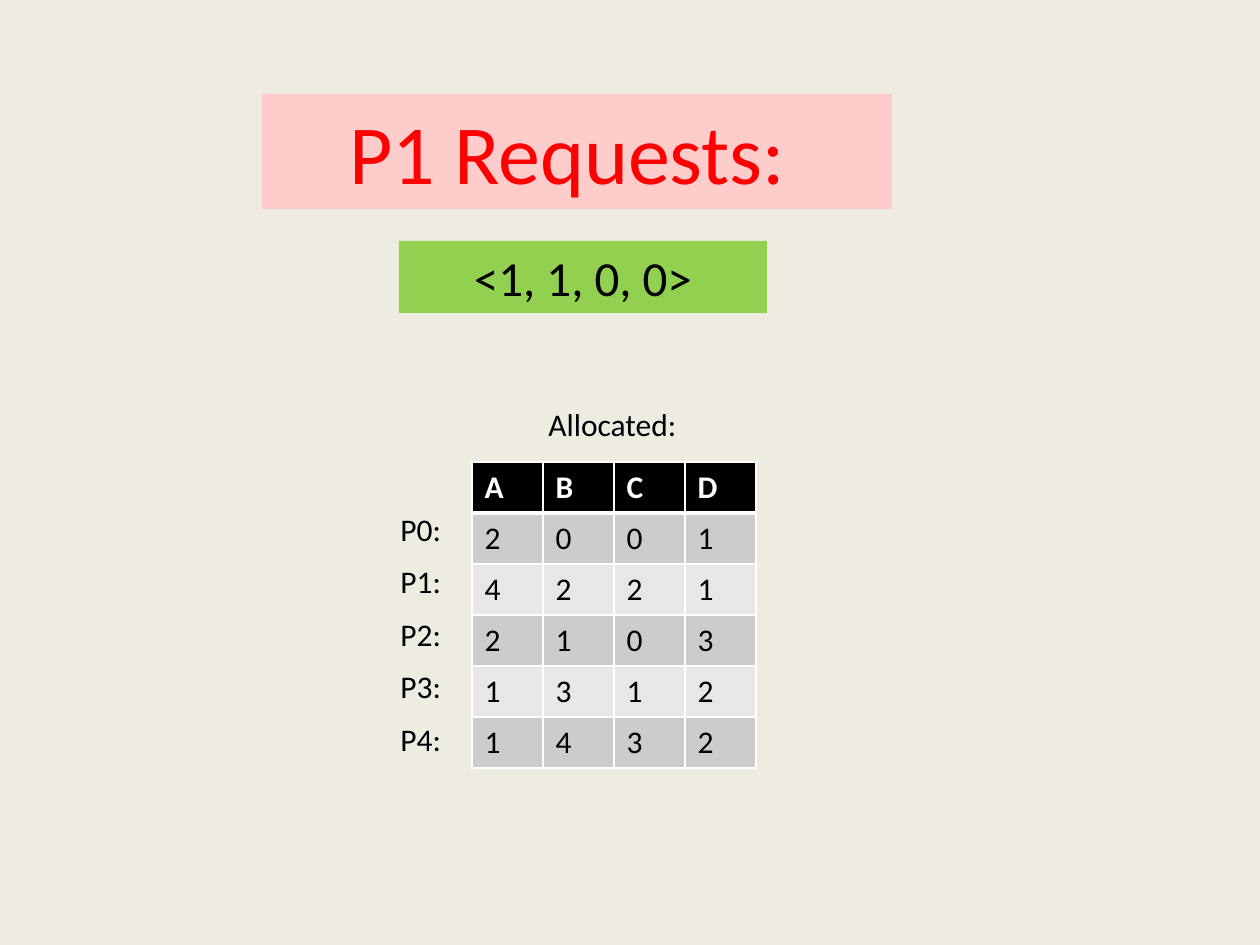
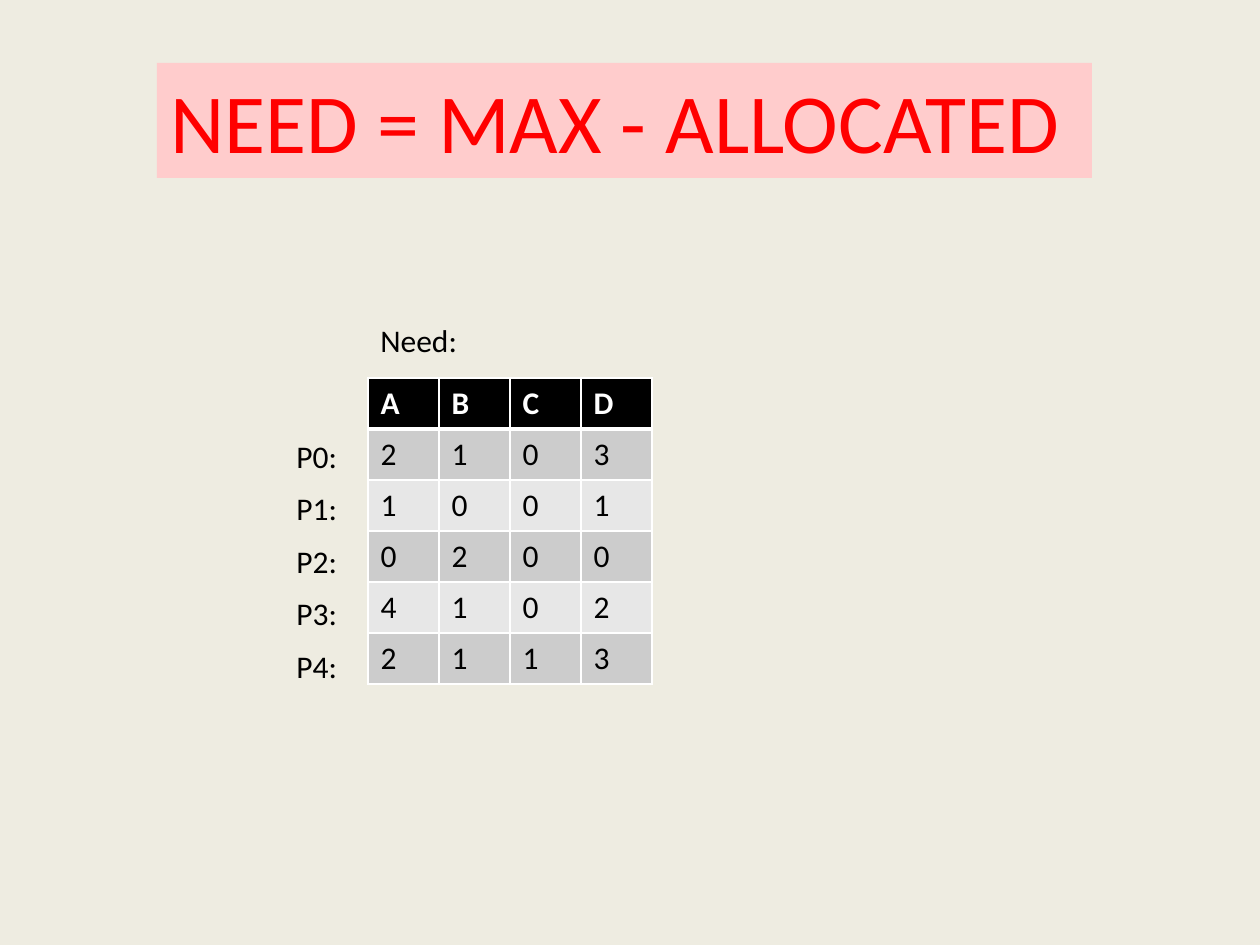
import pptx
import pptx.util
import pptx.dml.color
import pptx.enum.shapes
import pptx.enum.text
import pptx.oxml

HUES = {"back": "EEECE1", "pink": "FFCCCC", "red": "FF0000", "green": "92D050",
        "black": "000000", "white": "FFFFFF", "dark": "CCCCCC", "light": "E7E7E7"}
FONT = "Calibri"
HEADS = ["A", "B", "C", "D"]
NAMES = ["P0:", "P1:", "P2:", "P3:", "P4:"]
SLIDES = [
    {"title": ("P1 Requests: ", (262, 94, 630, 115)),
     "ask": ("<1, 1, 0, 0>", (399, 241, 368, 72)),
     "label": ("Allocated:", (536, 399, 168, 50)),
     "grid": (472, 462), "names": (388, 504),
     "rows": [(2, 0, 0, 1), (4, 2, 2, 1), (2, 1, 0, 3), (1, 3, 1, 2), (1, 4, 3, 2)]},
    {"title": ("NEED = MAX - ALLOCATED ", (157, 63, 935, 115)),
     "label": ("Need:", (368, 315, 168, 50)),
     "grid": (368, 378), "names": (284, 431),
     "rows": [(2, 1, 0, 3), (1, 0, 0, 1), (0, 2, 0, 0), (4, 1, 0, 2), (2, 1, 1, 3)]},
]
COL, ROW = 71, 51
NAME_W, NAME_H, TWO_STEPS = 74, 50, 105


def px(n):
    return round(n * 914400 / 126)


def tint(hue):
    return pptx.dml.color.RGBColor.from_string(HUES[hue])


def paint(thing, hue):
    thing.fill.solid()
    thing.fill.fore_color.rgb = tint(hue)


def write(frame, text, size=18, hue="black", bold=False, mid=False):
    frame.word_wrap = True
    para = frame.paragraphs[0]
    if mid:
        para.alignment = pptx.enum.text.PP_ALIGN.CENTER
    run = para.add_run()
    run.text = text
    run.font.name = FONT
    run.font.size = pptx.util.Pt(size)
    run.font.bold = bold
    run.font.color.rgb = tint(hue)


def add_text(slide, text, box, fill=None, **form):
    place = [px(n) for n in box]
    if fill:
        shape = slide.shapes.add_shape(pptx.enum.shapes.MSO_SHAPE.RECTANGLE, *place)
        shape.shadow.inherit = False
        shape.line.fill.background()
        paint(shape, fill)
    else:
        shape = slide.shapes.add_textbox(*place)
    shape.text_frame.vertical_anchor = pptx.enum.text.MSO_ANCHOR.TOP
    write(shape.text_frame, text, **form)


def edge(cell, **widths):
    props = cell._tc.get_or_add_tcPr()
    for side, width in widths.items():
        props.append(pptx.oxml.parse_xml(
            f'<a:ln{side} xmlns:a="http://schemas.openxmlformats.org/drawingml/2006/main" '
            f'w="{pptx.util.Pt(width)}"><a:solidFill><a:srgbClr val="{HUES["white"]}"/>'
            f'</a:solidFill></a:ln{side}>'))


def add_grid(slide, spot, rows):
    cells = [HEADS] + rows
    high, wide = len(cells), len(HEADS)
    left, top = spot
    table = slide.shapes.add_table(high, wide, px(left), px(top),
                                   px(wide * COL), px(high * ROW)).table
    for col in table.columns:
        col.width = px(COL)
    for r, row in enumerate(cells):
        table.rows[r].height = px(ROW)
        head = r == 0
        fill = "black" if head else "dark" if r % 2 else "light"
        for c, value in enumerate(row):
            cell = table.cell(r, c)
            edge(cell, L=1, R=1, T=3 if r == 1 else 1, B=3 if head else 1)
            paint(cell, fill)
            write(cell.text_frame, str(value), hue="white" if head else "black", bold=head)


def add_names(slide, spot):
    left, top = spot
    for i, name in enumerate(NAMES):
        add_text(slide, name, (left, top + i * TWO_STEPS // 2, NAME_W, NAME_H))


def main():
    deck = pptx.Presentation()
    deck.slide_width, deck.slide_height = px(1260), px(945)
    for page in SLIDES:
        slide = deck.slides.add_slide(deck.slide_layouts[6])
        paint(slide.background, "back")
        add_text(slide, *page["title"], fill="pink", size=48, hue="red", mid=True)
        if "ask" in page:
            add_text(slide, *page["ask"], fill="green", size=28, mid=True)
        add_text(slide, *page["label"])
        add_grid(slide, page["grid"], page["rows"])
        add_names(slide, page["names"])
    deck.save("out.pptx")


if __name__ == "__main__":
    main()
